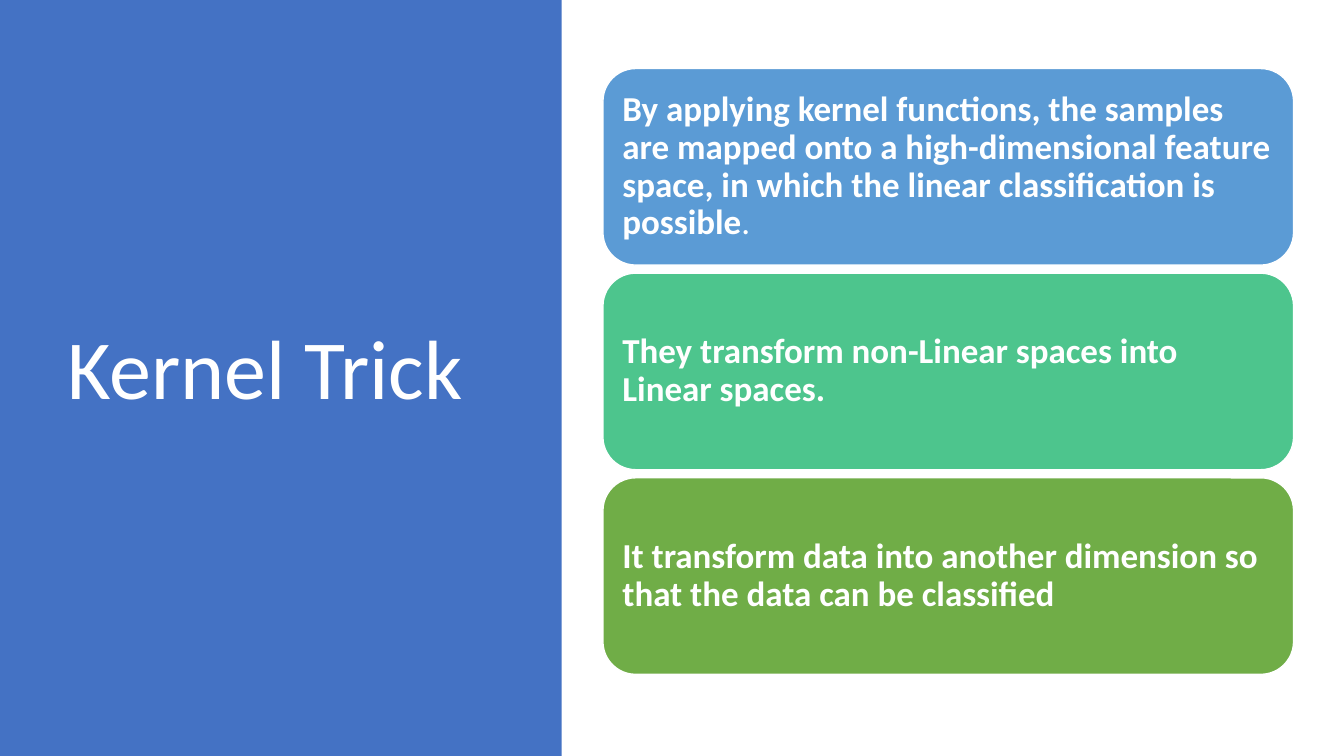
import dataclasses

import pptx
import pptx.dml.color
import pptx.enum.shapes
import pptx.enum.text
import pptx.util

Inches = pptx.util.Inches
Shape = pptx.enum.shapes.MSO_SHAPE


@dataclasses.dataclass(frozen=True)
class Theme:
    font: str = "Calibri"
    title_size: int = 60
    card_size: int = 25
    white: str = "FFFFFF"
    panel: str = "4472C4"
    cards: tuple = ("5B9BD5", "4DC58D", "70AD47")


class SlideBuilder:
    def __init__(self, slide, theme):
        self.slide = slide
        self.theme = theme

    def color(self, value):
        return pptx.dml.color.RGBColor.from_string(value)

    def block(self, kind, box, fill):
        block = self.slide.shapes.add_shape(kind, *map(Inches, box))
        block.shadow.inherit = False
        block.fill.solid()
        block.fill.fore_color.rgb = self.color(fill)
        block.line.fill.background()
        return block

    def set_text(self, frame, text, size, bold):
        frame.word_wrap = True
        frame.auto_size = pptx.enum.text.MSO_AUTO_SIZE.NONE
        frame.vertical_anchor = pptx.enum.text.MSO_ANCHOR.MIDDLE
        paragraph = frame.paragraphs[0]
        paragraph.alignment = pptx.enum.text.PP_ALIGN.LEFT
        paragraph.line_spacing = 0.9
        paragraph.font.name = self.theme.font
        paragraph.font.size = pptx.util.Pt(size)
        paragraph.font.bold = bold
        paragraph.font.color.rgb = self.color(self.theme.white)
        paragraph.add_run().text = text
        return paragraph

    def title(self, text, box):
        title = self.slide.shapes.title
        title.left, title.top, title.width, title.height = map(Inches, box)
        title.text_frame.margin_right = 0
        self.set_text(title.text_frame, text, self.theme.title_size, False)

    def side_panel(self, box):
        panel = self.block(Shape.RECTANGLE, box, self.theme.panel)
        self.slide.shapes.title.element.addprevious(panel.element)

    def card(self, text, box, fill, plain_ending=""):
        card = self.block(Shape.ROUNDED_RECTANGLE, box, fill)
        card.line.color.rgb = self.color(self.theme.white)
        card.line.width = pptx.util.Pt(1)
        frame = card.text_frame
        frame.margin_left = frame.margin_right = Inches(0.1)
        frame.margin_top = frame.margin_bottom = Inches(0.1)
        statement = self.set_text(frame, text, self.theme.card_size, True)
        if plain_ending:
            ending = statement.add_run()
            ending.text = plain_ending
            ending.font.bold = False


def main():
    presentation = pptx.Presentation()
    presentation.slide_width = Inches(13.33)
    presentation.slide_height = Inches(7.5)
    theme = Theme()
    slide = presentation.slides.add_slide(presentation.slide_layouts[5])
    builder = SlideBuilder(slide, theme)

    builder.side_panel((0, 0, 5.57, 7.5))
    builder.title("Kernel Trick", (0.57, 0.68, 4.16, 6.02))

    statements = (
        ("By applying kernel functions, the samples are mapped onto a "
         "high-dimensional feature space, in which the linear "
         "classification is possible", "."),
        ("They transform non-Linear spaces into Linear spaces.", ""),
        ("It transform data into another dimension so that the data "
         "can be classified", ""),
    )
    top, pitch = 0.68, 2.03
    for row, ((text, ending), fill) in enumerate(zip(statements, theme.cards)):
        builder.card(text, (5.98, top + row * pitch, 6.85, 1.95), fill, ending)

    presentation.save("out.pptx")


if __name__ == "__main__":
    main()
